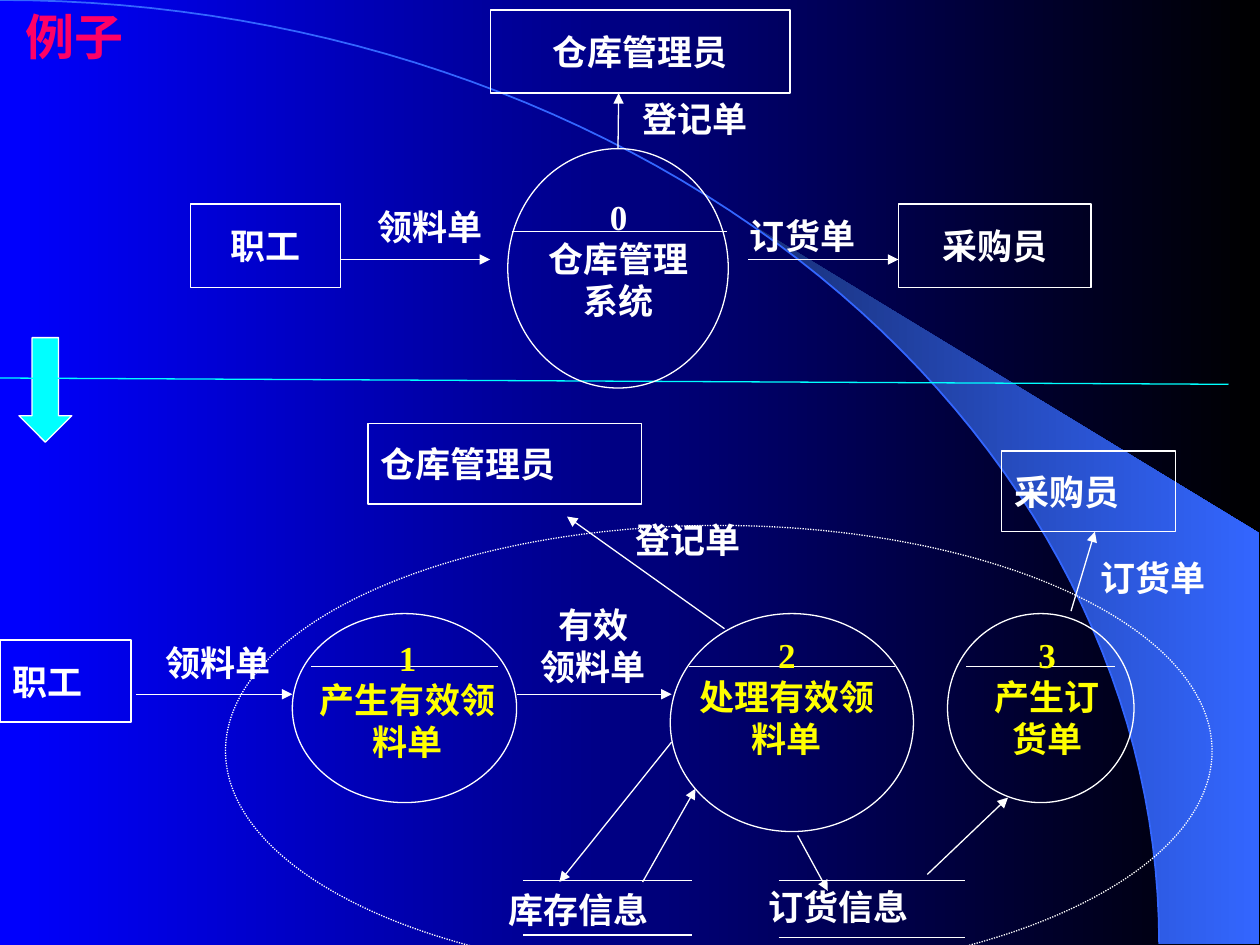
from dataclasses import dataclass
from math import asin, cos, pi, sin

from lxml import etree
from pptx import Presentation
from pptx.dml.color import RGBColor
from pptx.enum import dml, shapes, text
from pptx.oxml.ns import qn
from pptx.util import Inches, Pt

SHAPE = shapes.MSO_SHAPE
CENTER, JUSTIFY = text.PP_ALIGN.CENTER, text.PP_ALIGN.JUSTIFY


@dataclass(frozen=True)
class Theme:
    font: str = "Times New Roman"
    title_size: float = 28
    body_size: float = 20
    line_width: float = 0.75
    arc_width: float = 1
    title: str = "FF0066"
    white: str = "FFFFFF"
    process: str = "FFFF00"
    cyan: str = "00FFFF"
    arc: str = "3366FF"
    background: tuple = ("0000FF", "000000")
    band: tuple = ("182F76", "3366FF")


def set_gradient(fill, colors):
    fill.gradient()
    fill.gradient_angle = 0
    for stop, color in zip(fill.gradient_stops, colors):
        stop.color.rgb = RGBColor.from_string(color)


class DiagramSlide:
    def __init__(self, prs, theme):
        self.theme = theme
        self.s = prs.slides.add_slide(prs.slide_layouts[5])
        set_gradient(self.s.background.fill, theme.background)

    def stroke(self, line, color, width=None):
        line.color.rgb = RGBColor.from_string(color)
        line.width = Pt(width or self.theme.line_width)

    def set_text(self, tf, lines, color, size, align):
        tf.text = "\n".join(lines)
        for p in tf.paragraphs:
            p.alignment = align
            p.font.name = self.theme.font
            p.font.size = Pt(size)
            p.font.bold = True
            p.font.color.rgb = RGBColor.from_string(color)

    def title(self, words, box):
        sp = self.s.shapes.title
        sp.left, sp.top, sp.width, sp.height = map(Inches, box)
        tf = sp.text_frame
        tf.word_wrap = False
        tf.auto_size = text.MSO_AUTO_SIZE.NONE
        tf.vertical_anchor = text.MSO_ANCHOR.TOP
        tf.margin_left = Inches(0.2)
        self.set_text(tf, [words], self.theme.title, self.theme.title_size,
                      text.PP_ALIGN.LEFT)

    def shape(self, kind, box, fill=None):
        sp = self.s.shapes.add_shape(kind, *map(Inches, box))
        sp.shadow.inherit = False
        if fill:
            sp.fill.solid()
            sp.fill.fore_color.rgb = RGBColor.from_string(fill)
        else:
            sp.fill.background()
        self.stroke(sp.line, self.theme.white)
        return sp

    def entity(self, words, box, align=CENTER):
        sp = self.shape(SHAPE.RECTANGLE, box)
        sp.text_frame.word_wrap = True
        sp.text_frame.vertical_anchor = text.MSO_ANCHOR.MIDDLE
        self.set_text(sp.text_frame, [words], self.theme.white,
                      self.theme.body_size, align)

    def label(self, lines, box, color=None, align=CENTER):
        tf = self.s.shapes.add_textbox(*map(Inches, box)).text_frame
        tf.word_wrap = True
        tf.vertical_anchor = text.MSO_ANCHOR.MIDDLE
        self.set_text(tf, lines, color or self.theme.white,
                      self.theme.body_size, align)

    def line(self, start, end, color=None, arrow=False):
        c = self.s.shapes.add_connector(
            shapes.MSO_CONNECTOR.STRAIGHT, *map(Inches, (*start, *end)))
        self.stroke(c.line, color or self.theme.white)
        sp_pr = c._element.spPr
        if arrow:
            etree.SubElement(sp_pr.find(qn("a:ln")), qn("a:tailEnd"), type="triangle")
        etree.SubElement(sp_pr, qn("a:effectLst"))
        return c

    def process(self, lines, oval, divider, box, color):
        """Circle split by a divider (left, right, y) under its number."""
        sp = self.shape(SHAPE.OVAL, oval)
        left, right, y = divider
        self.line((left, y), (right, y))
        self.label(lines, box, color)
        return sp

    def store(self, words, left, right, top, bottom, box):
        for y in (top, bottom):
            self.line((left, y), (right, y))
        self.label([words], box, align=JUSTIFY)

    def outline(self, points, close):
        points = [(Inches(x), Inches(y)) for x, y in points]
        builder = self.s.shapes.build_freeform(*points[0])
        builder.add_line_segments(points[1:], close=close)
        sp = builder.convert_to_shape()
        sp.shadow.inherit = False
        return sp


def arc_points(start, steps=60):
    """Points on the backdrop's quarter ellipse, from an angle off vertical."""
    rx, ry = 9.2, 7.49
    angles = [start + (pi / 2 - start) * i / steps for i in range(steps + 1)]
    return [(rx * sin(a), ry * (1 - cos(a))) for a in angles]


def draw_backdrop(d):
    band = d.outline(arc_points(asin(0.64)) + [(9.99, 7.49), (9.99, 4.23)], True)
    set_gradient(band.fill, d.theme.band)
    band.line.fill.background()
    arc = d.outline(arc_points(0), False)
    arc.fill.background()
    d.stroke(arc.line, d.theme.arc, d.theme.arc_width)


def draw_context_level(d):
    for words, box in (("职工", (1.51, 1.62, 1.19, 0.66)),
                       ("采购员", (7.13, 1.62, 1.53, 0.66)),
                       ("仓库管理员", (3.89, 0.08, 2.38, 0.66))):
        d.entity(words, box)
    system = d.process(["0", "仓库管理系统"], (4.03, 1.18, 1.75, 1.9),
                       (4.06, 5.77, 1.84), (4.16, 1.4, 1.5, 1.31), d.theme.white)
    d.line((2.7, 2.06), (3.89, 2.06), arrow=True)
    d.line((5.94, 2.06), (7.13, 2.06), arrow=True)
    d.line((4.91, 1.18), (4.91, 0.74), arrow=True).begin_connect(system, 0)
    for words, x, y in (("领料单", 2.66, 1.62), ("订货单", 5.62, 1.69),
                        ("登记单", 4.77, 0.76)):
        d.label([words], (x, y, 1.5, 0.36))


def draw_detail_level(d):
    for words, box in (("职工", (0, 5.08, 1.04, 0.65)),
                       ("采购员", (7.95, 3.58, 1.38, 0.64)),
                       ("仓库管理员", (2.92, 3.36, 2.17, 0.64))):
        d.entity(words, box, JUSTIFY)

    for lines, oval, divider, box in (
            (["1", "产生有效领料单"], (2.32, 4.87, 1.78, 1.5),
             (2.47, 3.95, 5.29), (2.32, 4.79, 1.83, 1.52)),
            (["2", "处理有效领料单"], (5.32, 4.87, 1.93, 1.73),
             (5.47, 7.1, 5.29), (5.33, 4.77, 1.83, 1.52)),
            (["3", "产生订", "货单"], (7.52, 4.87, 1.48, 1.5),
             (7.67, 8.85, 5.29), (7.52, 4.77, 1.58, 1.52))):
        d.process(lines, oval, divider, box, d.theme.process)

    for start, end in (((1.08, 5.51), (2.32, 5.51)), ((4.1, 5.51), (5.33, 5.51)),
                       ((5.1, 7), (5.52, 6.26)), ((5.33, 5.89), (4.44, 7)),
                       ((6.33, 6.63), (6.57, 7.07)), ((7.36, 6.94), (8, 6.33)),
                       ((8.5, 4.85), (8.69, 4.22)), ((5.75, 4.99), (4.5, 4.1))):
        d.line(start, end, arrow=True)

    for lines, x, y in ((["领料单"], 0.98, 5.07), (["登记单"], 4.71, 4.1),
                        (["有效", "领料单"], 3.96, 4.94), (["订货单"], 8.4, 4.4)):
        d.label(lines, (x, y, 1.5, 0.37))

    d.store("订货信息", 6.18, 7.66, 6.99, 7.44, (6, 6.87, 1.77, 0.65))
    d.store("库存信息", 4.15, 5.49, 6.99, 7.42, (3.94, 6.89, 1.77, 0.65))
    boundary = d.shape(SHAPE.OVAL, (1.79, 4.17, 7.83, 3.58))
    boundary.line.dash_style = dml.MSO_LINE.ROUND_DOT


def main():
    prs = Presentation()
    prs.slide_width, prs.slide_height = Inches(10), Inches(7.5)
    d = DiagramSlide(prs, Theme())
    draw_backdrop(d)
    d.title("例子", (0, 0, 1.08, 0.57))
    d.shape(SHAPE.DOWN_ARROW, (0.15, 2.68, 0.42, 0.83), d.theme.cyan)
    d.line((0, 3), (9.75, 3.05), d.theme.cyan)
    draw_context_level(d)
    draw_detail_level(d)
    prs.save("out.pptx")


if __name__ == "__main__":
    main()
